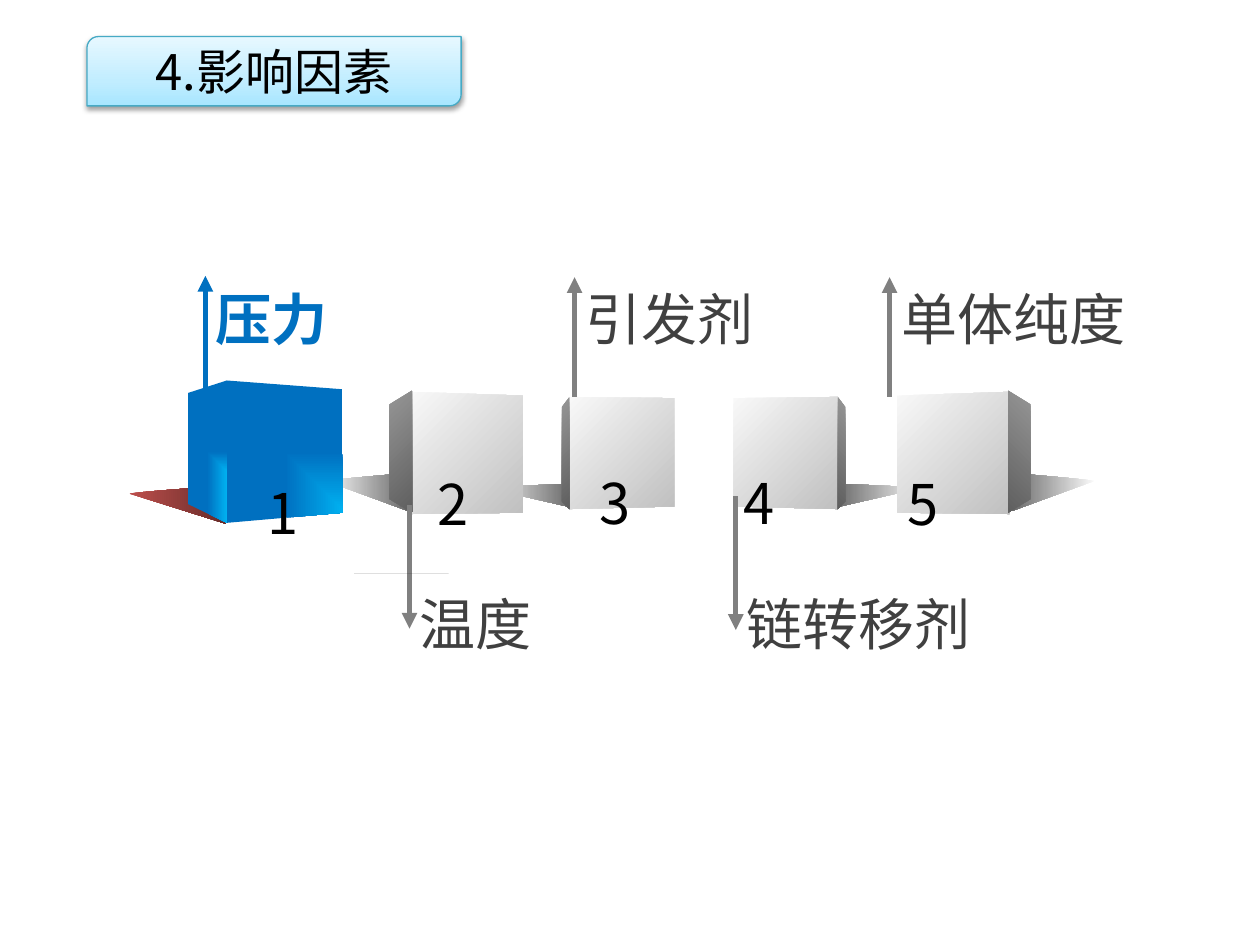
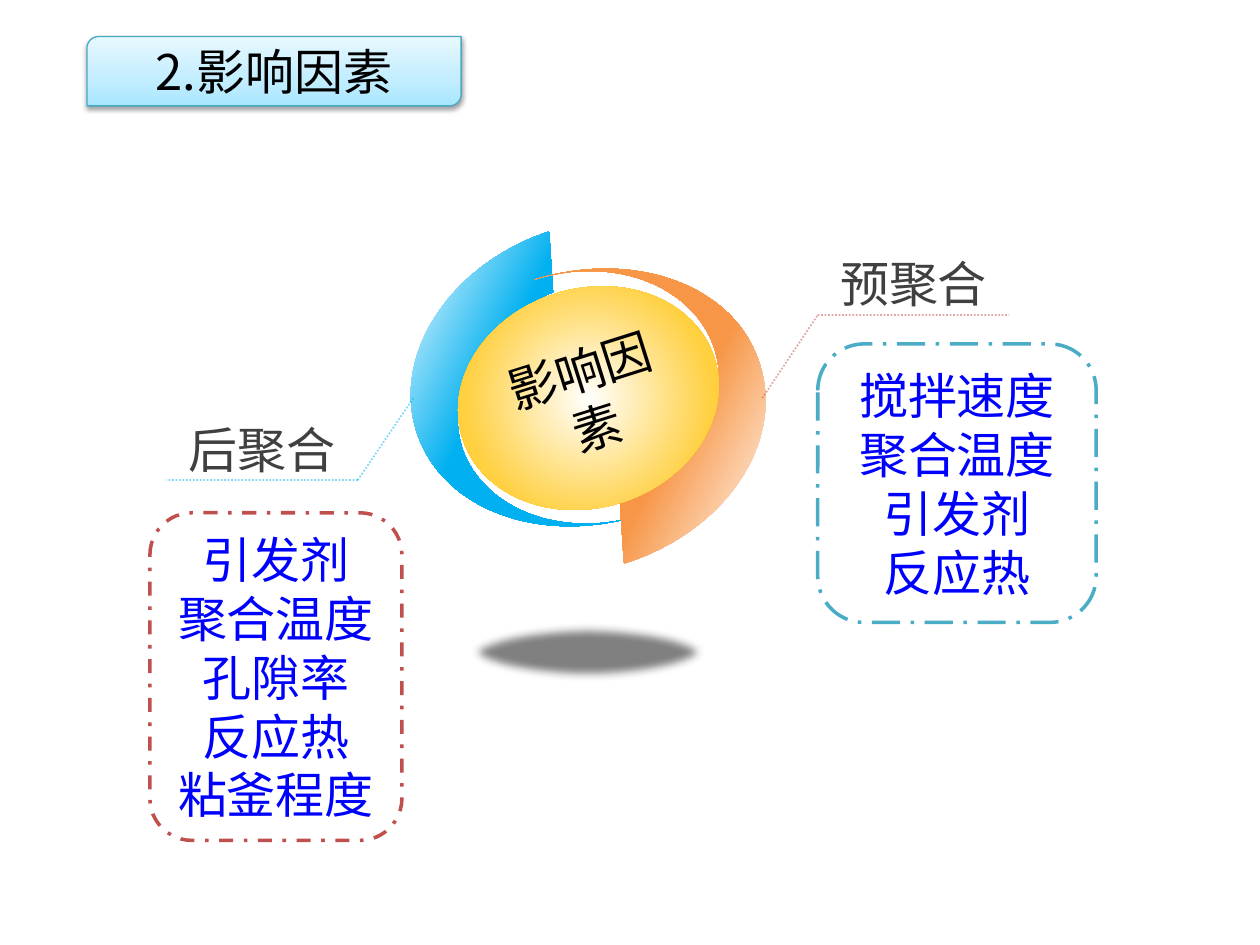
from math import cos, radians, sin

from lxml.etree import SubElement
from pptx import Presentation
from pptx.dml.color import RGBColor
from pptx.enum.dml import MSO_LINE
from pptx.enum.shapes import MSO_CONNECTOR, MSO_SHAPE
from pptx.enum.text import MSO_ANCHOR, MSO_AUTO_SIZE, PP_ALIGN
from pptx.oxml import parse_xml
from pptx.oxml.ns import nsdecls, qn
from pptx.util import Emu, Pt

PX = 9144
FONT = "Noto Sans CJK SC"
WHITE, BLACK = RGBColor(255, 255, 255), RGBColor(0, 0, 0)
BLUE, SKY = RGBColor(0x00, 0x70, 0xC0), RGBColor(0x00, 0xB0, 0xF0)
RED, DARK_RED = RGBColor(0xC0, 0x50, 0x4D), RGBColor(0x66, 0x2B, 0x29)
ORANGE, AQUA = RGBColor(0xF7, 0x96, 0x46), RGBColor(0x4B, 0xAC, 0xC6)
GOLD, AMBER = RGBColor(0xFF, 0xD0, 0x40), RGBColor(0xFF, 0xC0, 0x00)
PALE, ICE, FROST = (RGBColor(0xA7, 0xE6, 0xFF), RGBColor(0xC1, 0xED, 0xFF),
                    RGBColor(0xE7, 0xF8, 0xFF))
TITLE_EDGE, LIST_BLUE = RGBColor(0x46, 0xAA, 0xC5), RGBColor(0, 0, 255)
GRAY, LABEL_GRAY = RGBColor(0x80, 0x80, 0x80), RGBColor(0x40, 0x40, 0x40)
HAIRLINE = RGBColor(2, 2, 2)
FRONT_LIGHT, FRONT_DARK = RGBColor(0xF8, 0xF8, 0xF8), RGBColor(0xC0, 0xC0, 0xC0)
SIDE_LIGHT, SIDE_DARK = RGBColor(0x96, 0x96, 0x96), RGBColor(0x5F, 0x5F, 0x5F)
SHADE = RGBColor(0x66, 0x66, 0x66)

TITLES = ["4.影响因素", "2.影响因素"]
TITLE_BOX = (69, 29, 297, 55)
TITLE_STOPS = [(0, PALE), (35, ICE), (100, FROST)]

CUBE_2 = {
    "shade": [(325, 406), (325, 406, 262, 383, 259, 382),
              (256, 381, 318, 376, 318, 376)],
    "front": [(326, 311), (326, 408), (415, 407), (415, 314)],
    "side": [(309, 321), (309, 396), (327, 407), (327, 310)],
}
CUBE_3 = {
    "shade": [(455, 403), (455, 403, 389, 388, 385, 387),
              (382, 387, 447, 384, 447, 384)],
    "front": [(535, 402), (452, 404), (452, 315), (535, 316)],
    "side": [(446, 323), (446, 398), (452, 404), (452, 315)],
}
CUBE_1 = {
    "shade": [(180, 416), (180, 416, 107, 393, 103, 392),
              (100, 391, 172, 386, 172, 386)],
    "front": [(180, 302), (180, 415), (272, 407), (272, 309)],
    "side": [(149, 312), (149, 400), (180, 415), (180, 302)],
}
GRAY_CUBES = [(CUBE_3, None), (CUBE_2, None), (CUBE_3, 1117), (CUBE_2, 1127)]

FACTORS = [
    ("压力", (161, 210, 156), (163, 314, 219), BLUE, True),
    ("引发剂", (455, 210, 156), (456, 315, 220), GRAY, False),
    ("单体纯度", (706, 210, 215), (706, 315, 220), GRAY, False),
    ("温度", (323, 452, 156), (325, 401, 499), GRAY, False),
    ("链转移剂", (583, 452, 235), (584, 394, 500), GRAY, False),
]
NUMBERS = [("1", 212, 375, 15), ("2", 347, 368, 18), ("3", 476, 367, 18),
           ("4", 590, 367, 19), ("5", 720, 368, 18)]
RULE = [(356, 455), (281, 455), (356, 455)]

CRESCENTS = [
    ([(435, 184), (436, 185), (439, 232), (383, 255, 352, 309, 367, 356),
      (384, 405, 448, 429, 511, 408), (432, 434, 352, 406, 331, 344),
      (310, 282, 357, 210, 435, 184)], 341.4, SKY),
    ([(496, 447), (495, 446), (492, 399), (549, 377, 582, 324, 567, 277),
      (551, 227, 487, 202, 424, 222), (504, 197, 584, 227, 603, 289),
      (623, 352, 575, 422, 496, 447)], 162.5, ORANGE),
]
LEADERS = [(RED, [(605, 316), (649, 250), (801, 250)]),
           (SKY, [(328, 316), (284, 381), (132, 381)])]
STAGES = [
    ("预聚合", (649, 196), (649, 273, 221, 221), AQUA,
     MSO_LINE.LONG_DASH_DOT, ["搅拌速度", "聚合温度", "引发剂", "反应热"]),
    ("后聚合", (132, 328), (119, 407, 200, 260), RED,
     MSO_LINE.DASH_DOT, ["引发剂", "聚合温度", "孔隙率", "反应热", "粘釜程度"]),
]


def px(*values):
    return [Emu(round(v * PX)) for v in values]


def write(shape, lines, color, size=28, bold=False, align=PP_ALIGN.CENTER, spacing=None):
    tf = shape.text_frame
    for i, line in enumerate(lines):
        p = tf.add_paragraph() if i else tf.paragraphs[0]
        p.alignment = align
        p.line_spacing = spacing
        r = p.add_run()
        r.text = line
        r.font.color.rgb = color
        for name, value in {"size": Pt(size), "bold": bold, "name": FONT}.items():
            setattr(r.font, name, value)
        SubElement(r.font._element, qn("a:ea"), typeface=FONT)


def solid(shape, color):
    shape.fill.solid()
    shape.fill.fore_color.rgb = color


def gradient(shape, stops, angle=None, focus=None):
    shape.fill.background()
    marks = "".join(f'<a:gs pos="{pos * 1000}"><a:srgbClr val="{color}"/></a:gs>'
                    for pos, color in stops)
    if focus:
        kind, sides = focus
        edges = " ".join(f'{k}="{v * 1000}"' for k, v in zip("ltrb", sides))
        way = f'<a:path path="{kind}"><a:fillToRect {edges}/></a:path>'
    else:
        way = f'<a:lin ang="{round(angle * 60000)}" scaled="0"/>'
    fill = parse_xml(f'<a:gradFill {nsdecls("a")} rotWithShape="1">'
                     f'<a:gsLst>{marks}</a:gsLst>{way}</a:gradFill>')
    sp_pr = shape._element.spPr
    sp_pr.replace(sp_pr.find(qn("a:noFill")), fill)


def effect(shape, xml):
    shape._element.spPr.find(qn("a:effectLst")).append(parse_xml(xml))


def add_preset(s, kind, box, line=None, width=1, dash=None):
    sp = s.shapes.add_shape(kind, *px(*box))
    sp.shadow.inherit = False
    sp.text_frame.vertical_anchor = MSO_ANCHOR.MIDDLE
    if line is None:
        sp.line.fill.background()
    else:
        sp.line.color.rgb = line
        sp.line.width = Pt(width)
        sp.line.dash_style = dash
    return sp


def add_label(s, box):
    tb = s.shapes.add_textbox(*px(*box))
    tb.text_frame.word_wrap = True
    tb.text_frame.auto_size = MSO_AUTO_SIZE.SHAPE_TO_FIT_TEXT
    return tb


def add_line(s, start, end, color, width, arrow=False, dash=None, alpha=None):
    c = s.shapes.add_connector(MSO_CONNECTOR.STRAIGHT, *px(*start, *end))
    c.line.color.rgb = color
    c.line.width = Pt(width)
    c.line.dash_style = dash
    sp_pr = c._element.spPr
    if alpha:
        SubElement(next(sp_pr.iter(qn("a:srgbClr"))), qn("a:alpha"), val=str(alpha * 1000))
    if arrow:
        SubElement(sp_pr.find(qn("a:ln")), qn("a:tailEnd"), type="triangle")
    SubElement(sp_pr, qn("a:effectLst"))


def turn(point, center, degrees):
    a = radians(degrees)
    dx, dy = point[0] - center[0], point[1] - center[1]
    return (center[0] + dx * cos(a) - dy * sin(a),
            center[1] + dx * sin(a) + dy * cos(a))


def add_outline(s, outline, place=lambda point: point):
    points = [place(pair) for part in outline for pair in zip(part[::2], part[1::2])]
    emu = [px(*point) for point in points]
    builder = s.shapes.build_freeform(*emu[0])
    builder.add_line_segments(emu[1:], close=True)
    sp = builder.convert_to_shape()
    sp.shadow.inherit = False
    sp.line.fill.background()
    steps = iter(list(next(sp._element.iter(qn("a:lnTo"))).getparent()))
    for part in outline:
        step = next(steps)
        if len(part) == 6:
            step.tag = qn("a:cubicBezTo")
            for _ in range(2):
                extra = next(steps)
                step.append(extra[0])
                extra.getparent().remove(extra)
    return sp


def add_turned_outline(s, outline, rotation):
    pivot = outline[0]
    sp = add_outline(s, outline, lambda point: turn(point, pivot, -rotation))
    middle = ((sp.left + sp.width / 2) / PX, (sp.top + sp.height / 2) / PX)
    x, y = turn(middle, pivot, rotation)
    sp.left, sp.top = px(x - sp.width / PX / 2, y - sp.height / PX / 2)
    sp.rotation = rotation
    return sp


def add_cube(s, cube, looks, mirror=None):
    def place(point):
        return (mirror - point[0], point[1]) if mirror else point

    for face, outline in cube.items():
        gradient(add_outline(s, outline, place), **looks[face])


def add_title(s, text):
    sp = add_preset(s, MSO_SHAPE.ROUND_2_DIAG_RECTANGLE, TITLE_BOX, TITLE_EDGE, 0.75)
    gradient(sp, TITLE_STOPS, 270)
    effect(sp, f'<a:outerShdw {nsdecls("a")} blurRad="40000" dist="20000" dir="5400000" '
               'rotWithShape="0"><a:srgbClr val="000000"><a:alpha val="38000"/>'
               '</a:srgbClr></a:outerShdw>')
    write(sp, [text], BLACK)


def gray_looks(mirrored):
    return {
        "shade": {"stops": [(0, WHITE), (100, SHADE)], "angle": 180 if mirrored else 0},
        "front": {"stops": [(0, FRONT_LIGHT), (100, FRONT_DARK)], "angle": 45},
        "side": {"stops": [(0, SIDE_LIGHT), (100, SIDE_DARK)],
                 "angle": 135 if mirrored else 45},
    }


def build_factors(s):
    for cube, mirror in GRAY_CUBES:
        add_cube(s, cube, gray_looks(mirror), mirror)
    for text, (x, y, w), (ax, base, tip), color, bold in FACTORS:
        write(add_label(s, (x, y, w, 75)), [text], color if bold else LABEL_GRAY,
              32, bold, PP_ALIGN.LEFT, 1.2)
        add_line(s, (ax, base), (ax, tip), color, 3, arrow=True)
    solid(add_outline(s, RULE), HAIRLINE)
    glow = {"stops": [(0, SKY), (100, BLUE)], "focus": ("rect", (100, 100, 0, 0))}
    shade = {"stops": [(0, RED), (100, DARK_RED)], "angle": 0}
    add_cube(s, CUBE_1, {"shade": shade, "front": glow, "side": glow})
    for digit, x, y, w in NUMBERS:
        tb = s.shapes.add_textbox(*px(x, y, w, 30))
        for name, value in {"word_wrap": False, "margin_left": 0, "margin_right": 0}.items():
            setattr(tb.text_frame, name, value)
        write(tb, [digit], BLACK, 32)


def build_stages(s):
    floor = add_preset(s, MSO_SHAPE.OVAL, (368, 494, 197, 47))
    solid(floor, GRAY)
    effect(floor, f'<a:softEdge {nsdecls("a")} rad="63500"/>')
    for outline, rotation, color in CRESCENTS:
        sp = add_turned_outline(s, outline, rotation)
        gradient(sp, [(8, WHITE), (44, color)], 45)
    core = add_preset(s, MSO_SHAPE.OVAL, (362, 229, 210, 174))
    core.rotation = 342.4
    gradient(core, [(0, WHITE), (58, GOLD), (100, AMBER)], focus=("circle", (50,) * 4))
    write(core, ["影响因素"], BLACK)
    for color, points in LEADERS:
        for start, end in zip(points, points[1:]):
            add_line(s, start, end, color, 1, dash=MSO_LINE.ROUND_DOT, alpha=50)
    for name, corner, box, color, dash, items in STAGES:
        write(add_label(s, (*corner, 152, 57)), [name], LABEL_GRAY)
        sp = add_preset(s, MSO_SHAPE.ROUNDED_RECTANGLE, box, color, 2, dash)
        solid(sp, WHITE)
        write(sp, items, LIST_BLUE)


def main():
    prs = Presentation()
    prs.slide_width, prs.slide_height = px(1000, 750)
    for title, build in zip(TITLES, (build_factors, build_stages)):
        s = prs.slides.add_slide(prs.slide_layouts[6])
        add_title(s, title)
        build(s)
    prs.save("out.pptx")


if __name__ == "__main__":
    main()
